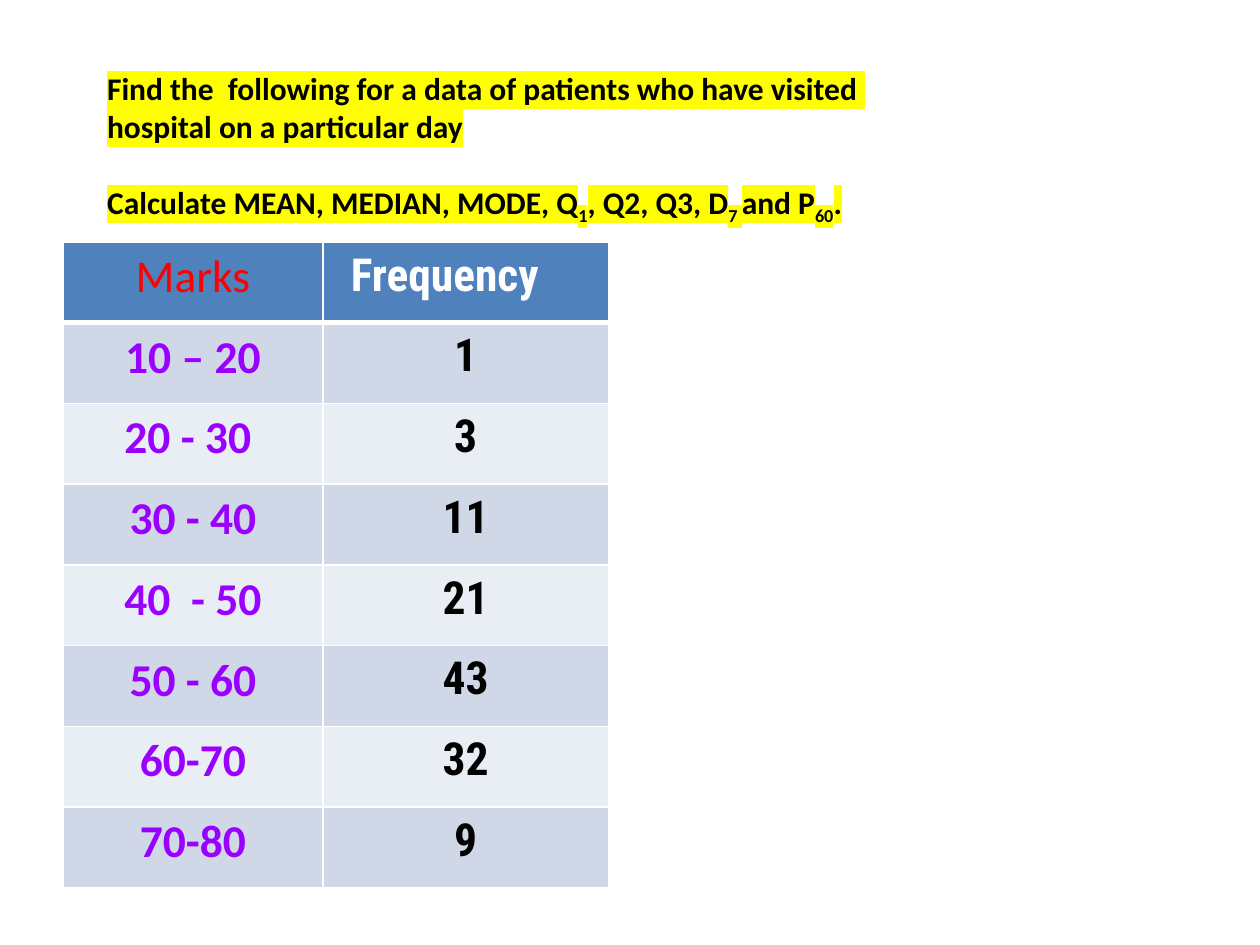
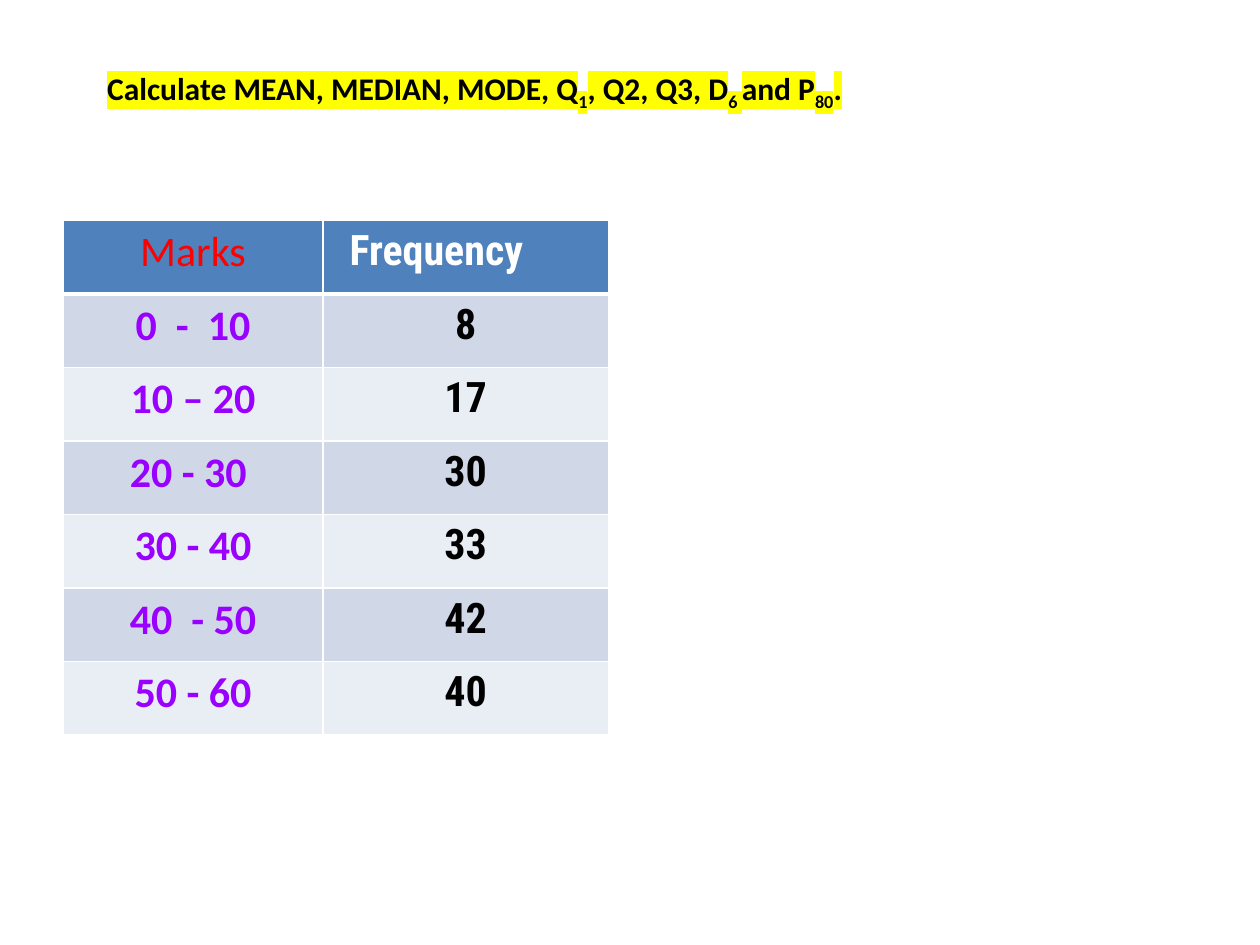
from lxml import etree
from pptx import Presentation
from pptx.dml.color import RGBColor
from pptx.enum import text as t
from pptx.oxml import ns
from pptx.util import Pt

COLORS = {
    "header": "4F81BD", "band_odd": "D0D8E8", "band_even": "E9EDF4",
    "border": "FFFFFF", "header_text": "FFFFFF", "marks_header": "FF0000",
    "marks": "9900FF", "text": "000000", "highlight": "FFFF00",
}
BODY_FONT, NUMBER_FONT = "Calibri", "Roboto Condensed"
COLUMN_WIDTHS = (148.6, 163)
INSET = 7.2


def set_all(target, values):
    for name, value in values.items():
        setattr(target, name, value)


class Deck:
    def __init__(self):
        self.presentation = Presentation()
        set_all(self.presentation, {"slide_width": Pt(720), "slide_height": Pt(540)})
        self.slide = None

    def add_slide(self):
        self.slide = self.presentation.slides.add_slide(self.presentation.slide_layouts[5])

    def run(self, paragraph, words, size, color, font=BODY_FONT, bold=True,
            highlight=None, subscript=False):
        run = paragraph.add_run()
        run.text = words
        run.font.color.rgb = RGBColor.from_string(COLORS[color])
        properties = run.font._element
        if highlight:
            mark = etree.SubElement(properties, ns.qn("a:highlight"))
            etree.SubElement(mark, ns.qn("a:srgbClr"), val=COLORS[highlight])
        if subscript:
            properties.set("baseline", "-25000")
        set_all(run.font, {"name": font, "size": Pt(size), "bold": bold})

    def title(self, paragraphs, height):
        """Each paragraph is a list of runs; every second run is a subscript."""
        title = self.slide.shapes.title
        set_all(title, {"left": Pt(54), "top": Pt(36), "width": Pt(510), "height": Pt(height)})
        frame = title.text_frame
        set_all(frame, {"word_wrap": True, "auto_size": t.MSO_AUTO_SIZE.NONE,
                        "vertical_anchor": t.MSO_ANCHOR.TOP})
        for index, runs in enumerate(paragraphs):
            paragraph = frame.add_paragraph() if index else frame.paragraphs[0]
            set_all(paragraph, {"alignment": t.PP_ALIGN.LEFT,
                                "space_before": Pt(22 if index else 0)})
            for position, words in enumerate(runs):
                self.run(paragraph, words, 18, "text", highlight="highlight",
                         subscript=position % 2 == 1)

    def borders(self, cell, bottom):
        properties = cell._tc.get_or_add_tcPr()
        for side, width in {"L": 1, "R": 1, "T": 1, "B": bottom}.items():
            line = etree.SubElement(properties, ns.qn(f"a:ln{side}"), w=str(Pt(width)))
            fill = etree.SubElement(line, ns.qn("a:solidFill"))
            etree.SubElement(fill, ns.qn("a:srgbClr"), val=COLORS["border"])

    def cell(self, cell, words, fill, size, inset_y, bottom=1, indent=0,
             alignment=t.PP_ALIGN.CENTER, **style):
        set_all(cell, {"margin_left": Pt(INSET + indent), "margin_right": Pt(INSET),
                       "margin_top": Pt(inset_y), "margin_bottom": Pt(inset_y)})
        self.borders(cell, bottom)
        cell.fill.solid()
        cell.fill.fore_color.rgb = RGBColor.from_string(COLORS[fill])
        paragraph = cell.text_frame.paragraphs[0]
        paragraph.alignment = alignment
        self.run(paragraph, words, size, **style)

    def frequency_table(self, frequencies, top, row_height, size, inset_y):
        rows = len(frequencies) + 1
        table = self.slide.shapes.add_table(
            rows, 2, Pt(36), Pt(top), Pt(sum(COLUMN_WIDTHS)), Pt(rows * row_height)).table
        set_all(table, {"first_row": False, "horz_banding": False})
        for column, width in zip(table.columns, COLUMN_WIDTHS):
            column.width = Pt(width)
        for row in table.rows:
            row.height = Pt(row_height)

        # Header row
        header = {"fill": "header", "size": size, "inset_y": inset_y, "bottom": 3}
        self.cell(table.cell(0, 0), "Marks", color="marks_header", bold=False, **header)
        self.cell(table.cell(0, 1), "Frequency", color="header_text", font=NUMBER_FONT,
                  alignment=t.PP_ALIGN.LEFT, indent=size / 3, **header)

        # Banded class rows
        for row, (marks, frequency) in enumerate(frequencies, 1):
            band = {"fill": "band_odd" if row % 2 else "band_even",
                    "size": size, "inset_y": inset_y}
            self.cell(table.cell(row, 0), marks, color="marks", **band)
            self.cell(table.cell(row, 1), str(frequency), color="text",
                      font=NUMBER_FONT, **band)


def measures(decile, percentile):
    return ["Calculate MEAN, MEDIAN, MODE, Q", "1", ", Q2, Q3, D",
            f"{decile} ", "and P", str(percentile), "."]


def main():
    deck = Deck()

    # Hospital patients exercise
    deck.add_slide()
    deck.title([["Find the  following for a data of patients who have visited  "
                 "hospital on a particular day"], measures(7, 60)], height=94.5)
    deck.frequency_table(
        [("10 – 20", 1), ("20 - 30 ", 3), ("30 - 40", 11), ("40  - 50", 21),
         ("50 - 60", 43), ("60-70", 32), ("70-80", 9)],
        top=138.2, row_height=46.15, size=26, inset_y=4)

    # Second exercise
    deck.add_slide()
    deck.title([measures(6, 80)], height=29)
    deck.frequency_table(
        [("0  -  10", 8), ("10 – 20", 17), ("20 - 30 ", 30), ("30 - 40", 33),
         ("40  - 50", 42), ("50 - 60", 40)],
        top=126, row_height=42, size=24, inset_y=3.6)

    deck.presentation.save("out.pptx")


if __name__ == "__main__":
    main()
